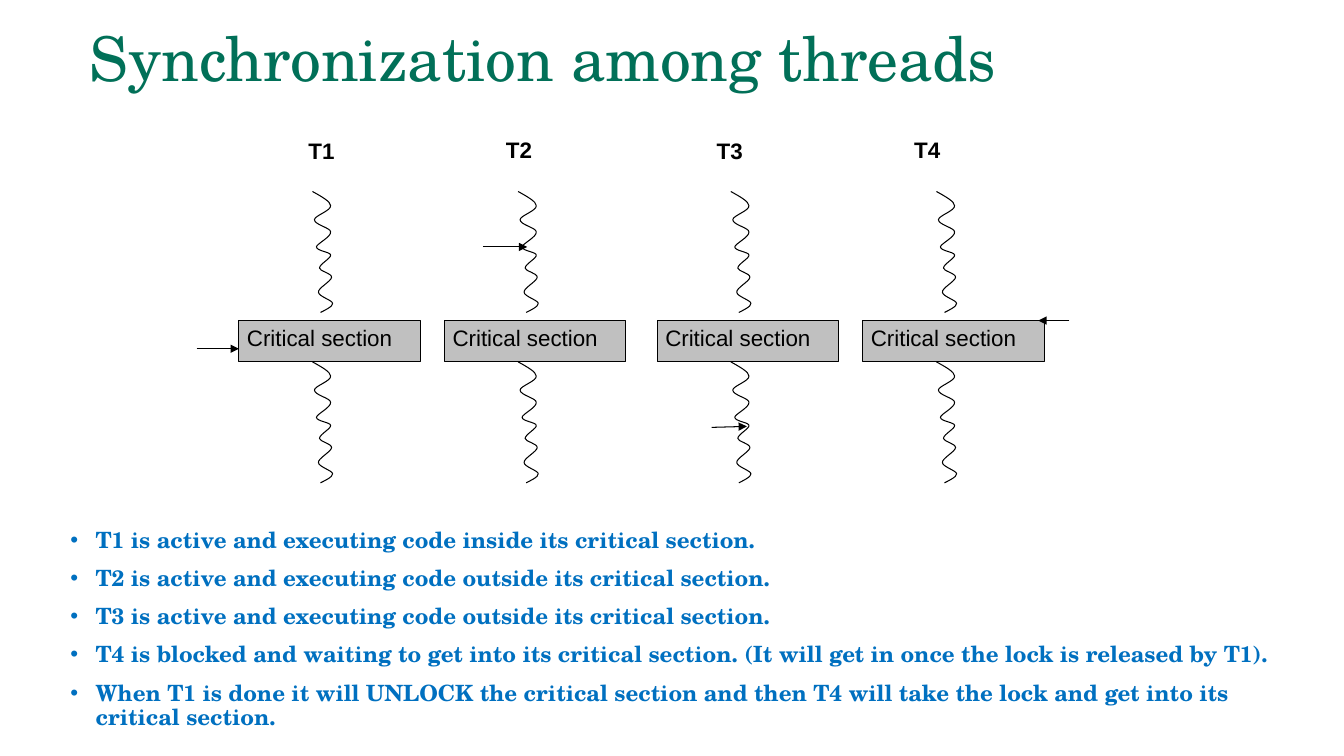
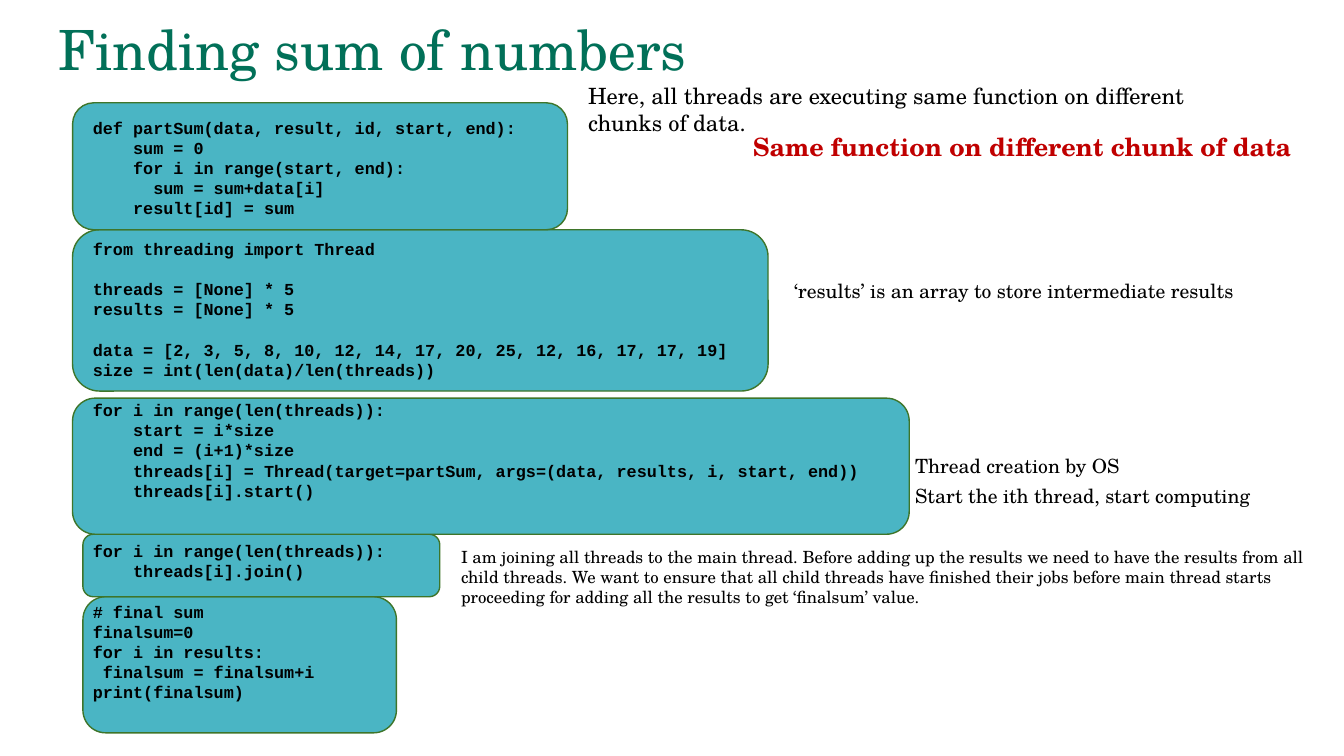
from lxml import etree
from pptx import Presentation
from pptx.dml.color import RGBColor
from pptx.enum.shapes import MSO_CONNECTOR, MSO_SHAPE
from pptx.enum.text import MSO_ANCHOR, PP_ALIGN
from pptx.oxml.ns import qn
from pptx.util import Inches, Pt

RECT, ROUNDED = MSO_SHAPE.RECTANGLE, MSO_SHAPE.ROUNDED_RECTANGLE
STRAIGHT = MSO_CONNECTOR.STRAIGHT
TOP, MIDDLE = MSO_ANCHOR.TOP, MSO_ANCHOR.MIDDLE
LEFT = PP_ALIGN.LEFT

CELL = 0.1
COLS, ROWS = 133.33, 75
SERIF, SANS, MONO = "TeX Gyre Schola", "Arial", "Courier New"
GREEN, BLUE, RED, BLACK = "017058", "0070C0", "C00000", "000000"
GRAY, TEAL, OLIVE = "C0C0C0", "4AB5C4", "3E752A"
CODE_PITCH = 14.4

WAVE = [
    ((0.9, 0.5), (1.8, 1), (1.8, 1.4)),
    ((1.9, 1.9), (0.2, 2.4), (0.2, 2.8)),
    ((0.2, 3.3), (1.8, 3.6), (1.8, 4)),
    ((1.9, 4.5), (0.4, 5.2), (0.4, 5.5)),
    ((0.4, 5.9), (1.8, 6), (1.8, 6.3)),
    ((1.9, 6.6), (0.7, 7.2), (0.7, 7.6)),
    ((0.7, 7.9), (1.9, 8.1), (1.9, 8.5)),
    ((1.9, 8.9), (0.5, 9.6), (0.6, 10)),
    ((0.6, 10.4), (2, 10.8), (2, 11.1)),
    ((2.1, 11.4), (1, 11.9), (0.8, 12)),
]

THREAD_ARROWS = [
    ((-4.2, 21.5), (0, 21.5)),
    ((3.8, 11.4), (8.2, 11.4)),
    ((5.4, 29.3), (8.9, 29.2)),
    ((20.5, 18.7), (17.4, 18.7)),
]

THREAD_STATES = [
    "T1 is active and executing code inside its critical section.",
    "T2 is active and executing code outside its critical section.",
    "T3 is active and executing code outside its critical section.",
    "T4 is blocked and waiting to get into its critical section. (It will get in once the lock is released by T1).",
    "When T1 is done it will UNLOCK the critical section and then T4 will take the lock and get into its critical section.",
]

CODE_PANELS = [
    (8.23, 59.2, 31.1, 13.5),
    (8.23, 53, 35.4, 6.2),
    (7.2, 39.5, 83, 13.5),
    (7.2, 22.8, 69, 16),
    (7.2, 10.2, 49.1, 12.6),
]

CODE = """def partSum(data, result, id, start, end):
    sum = 0
    for i in range(start, end):
      sum = sum+data[i]
    result[id] = sum

from threading import Thread

threads = [None] * 5
results = [None] * 5

data = [2, 3, 5, 8, 10, 12, 14, 17, 20, 25, 12, 16, 17, 17, 19]
size = int(len(data)/len(threads))

for i in range(len(threads)):
    start = i*size
    end = (i+1)*size
    threads[i] = Thread(target=partSum, args=(data, results, i, start, end))
    threads[i].start()


for i in range(len(threads)):
    threads[i].join()

# final sum
finalsum=0
for i in results:
 finalsum = finalsum+i
print(finalsum)"""

REMARKS = [
    ((73.7, 12.55, 56.1, 4), "Same function on different chunk of data", 18, RED, True),
    ((89.8, 44.55, 35.3, 3.4), "Thread creation by OS", 14, BLACK, False),
    ((89.8, 47.55, 38.5, 3.4), "Start the ith thread, start computing", 14, BLACK, False),
    ((44.75, 53.75, 87.8, 7.1),
     "I am joining all threads to the main thread. Before adding up the results we need to have the results from all "
     "child threads. We want to ensure that all child threads have finished their jobs before main thread starts "
     "proceeding for adding all the results to get ‘finalsum’ value.", 12, BLACK, False),
    ((77.8, 27.2, 51, 3.4), "‘results’ is an array to store intermediate results", 14, BLACK, False),
    ((57.35, 7.7, 62.1, 6.4),
     "Here, all threads are executing same function on different chunks of data.", 16, BLACK, False),
]


def rgb(value):
    return RGBColor.from_string(value)


def grid(*cells):
    return [Inches(c * CELL) for c in cells]


def set_line(sp, color, width):
    sp.line.color.rgb = rgb(color)
    sp.line.width = Pt(width)


def add_run(p, text, font, size, color, bold=False):
    p.alignment = LEFT
    r = p.add_run()
    r.text = text
    r.font.name = font
    r.font.size = Pt(size)
    r.font.bold = bold
    r.font.color.rgb = rgb(color)


def set_frame(tf, anchor=TOP, inset=(1, 0.5)):
    tf.word_wrap = True
    tf.vertical_anchor = anchor
    tf.margin_left = tf.margin_right = Inches(inset[0] * CELL)
    tf.margin_top = tf.margin_bottom = Inches(inset[1] * CELL)
    return tf


def add_text_box(slide, box, **frame):
    return set_frame(slide.shapes.add_textbox(*grid(*box)).text_frame, **frame)


def next_paragraph(tf, index):
    return tf.add_paragraph() if index else tf.paragraphs[0]


def add_box(slide, kind, box, fill, line, width):
    sp = slide.shapes.add_shape(kind, *grid(*box))
    sp.shadow.inherit = False
    sp.fill.solid()
    sp.fill.fore_color.rgb = rgb(fill)
    set_line(sp, line, width)
    return sp


def add_title(slide, box, text, size):
    p = add_text_box(slide, box, anchor=MIDDLE).paragraphs[0]
    p.line_spacing = 0.9
    add_run(p, text, SERIF, size, GREEN)


def add_arrow(slide, start, end):
    sp = slide.shapes.add_connector(STRAIGHT, *grid(*start, *end))
    set_line(sp, BLACK, 0.75)
    etree.SubElement(sp.line._get_or_add_ln(), qn("a:tailEnd"), type="triangle")
    etree.SubElement(sp._element.spPr, qn("a:effectLst"))


def add_wave(slide, x, y):
    builder = slide.shapes.build_freeform(*grid(x, y))
    builder.add_line_segments([grid(x + c[-1][0], y + c[-1][1]) for c in WAVE], close=False)
    sp = builder.convert_to_shape()
    segments = list(sp._element.iter(qn("a:lnTo")))
    for segment, curve in zip(segments, WAVE):
        bend = etree.Element(qn("a:cubicBezTo"))
        for point in curve:
            px, py = grid(*point)
            etree.SubElement(bend, qn("a:pt"), x=str(px), y=str(py))
        segment.getparent().replace(segment, bend)
    sp.shadow.inherit = False
    sp.fill.background()
    set_line(sp, BLACK, 0.75)


def add_thread(slide, x, y, label_box, label, arrow):
    add_wave(slide, x + 7.3, y + 5.9)
    sp = add_box(slide, RECT, (x, y + 18.7, 18, 4.1), GRAY, BLACK, 0.75)
    tf = set_frame(sp.text_frame, inset=(0.8, 0.4))
    add_run(tf.paragraphs[0], "Critical section", SANS, 16, BLACK)
    add_wave(slide, x + 7.3, y + 22.8)
    add_arrow(slide, *[(x + dx, y + dy) for dx, dy in arrow])
    tf = add_text_box(slide, label_box, inset=(0.8, 0.4))
    add_run(tf.paragraphs[0], label, SANS, 16, BLACK, True)


def add_bullets(slide, box, items):
    tf = add_text_box(slide, box)
    for i, item in enumerate(items):
        p = next_paragraph(tf, i)
        pPr = p._p.get_or_add_pPr()
        pPr.set("marL", str(Inches(0.25)))
        pPr.set("indent", str(-Inches(0.25)))
        etree.SubElement(pPr, qn("a:buFont"), typeface=SANS)
        etree.SubElement(pPr, qn("a:buChar"), char="•")
        p.line_spacing = 0.9
        if i:
            p.space_before = Pt(10)
        add_run(p, item, SERIF, 16, BLUE, True)


def add_code(slide, box, code):
    tf = add_text_box(slide, box)
    gap = 0
    for i, line in enumerate(code.split("\n")):
        if not line:
            gap += 1
            continue
        p = next_paragraph(tf, i)
        p.line_spacing = Pt(CODE_PITCH)
        if gap:
            p.space_before = Pt(CODE_PITCH * gap)
        add_run(p, line, MONO, 12, BLACK, True)
        gap = 0


def build_threads_slide(slide):
    add_title(slide, (7.9, 2.1, 115, 8), "Synchronization among threads", 44)
    add_bullets(slide, (6, 52, 124.5, 15.4), THREAD_STATES)
    for i, arrow in enumerate(THREAD_ARROWS):
        pair, side = divmod(i, 2)
        label_box = (29.8 + 40.5 * pair + 19.6 * side, 13.2 - 0.1 * side, 5.7, 3.9)
        add_thread(slide, 23.7 + 41.5 * pair + 20.4 * side, 13.1, label_box, f"T{i + 1}", arrow)


def build_sum_slide(slide):
    for panel in CODE_PANELS:
        add_box(slide, ROUNDED, panel, TEAL, OLIVE, 1)
    add_title(slide, (4.8, 2.2, 115, 6), "Finding sum of numbers", 39.6)
    add_code(slide, (8.23, 11.17, 84, 61.6), CODE)
    for box, text, size, color, bold in REMARKS:
        p = add_text_box(slide, box).paragraphs[0]
        add_run(p, text, SERIF, size, color, bold)


def main():
    prs = Presentation()
    prs.slide_width, prs.slide_height = grid(COLS, ROWS)
    for build in (build_threads_slide, build_sum_slide):
        build(prs.slides.add_slide(prs.slide_layouts[6]))
    prs.save("out.pptx")


if __name__ == "__main__":
    main()
